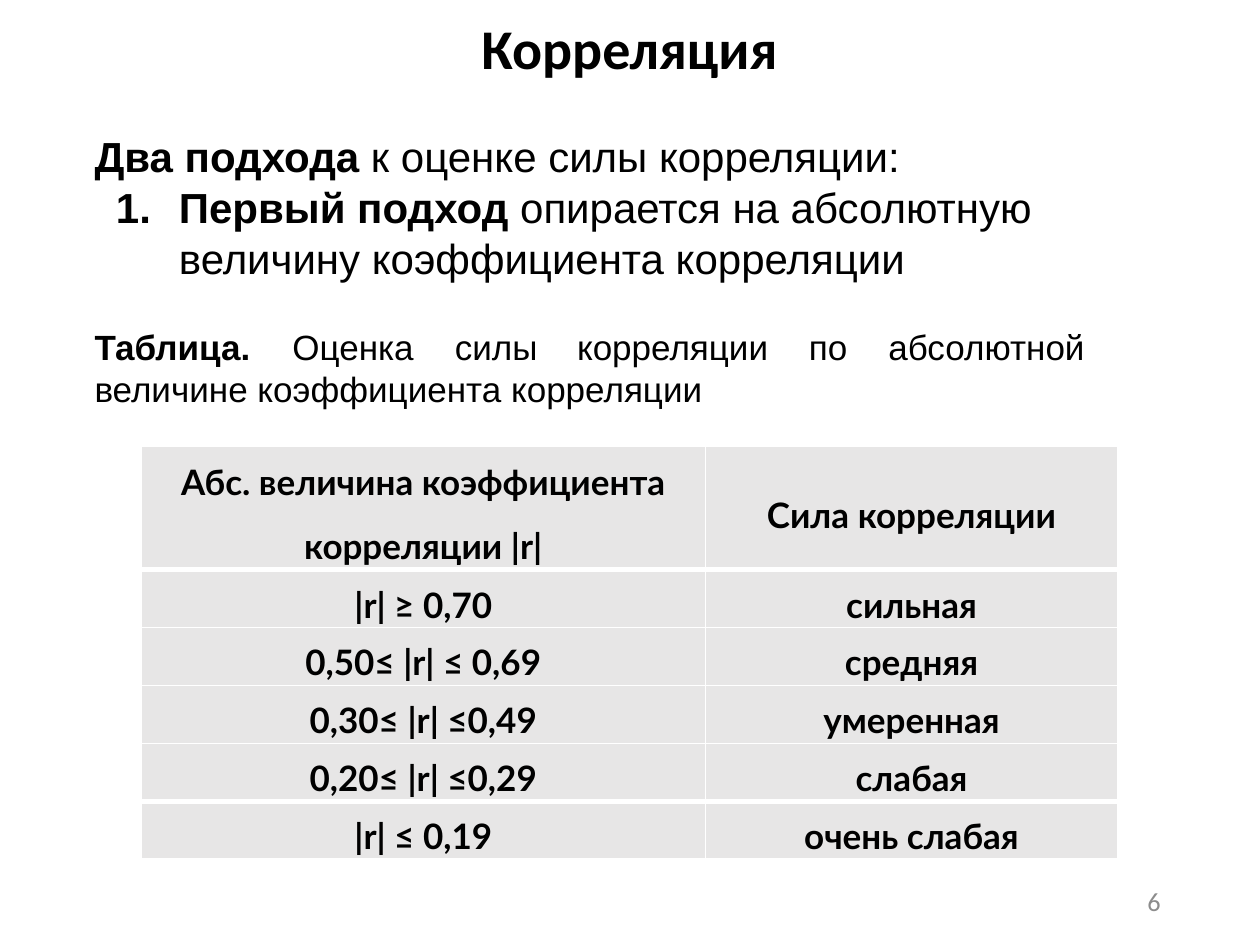
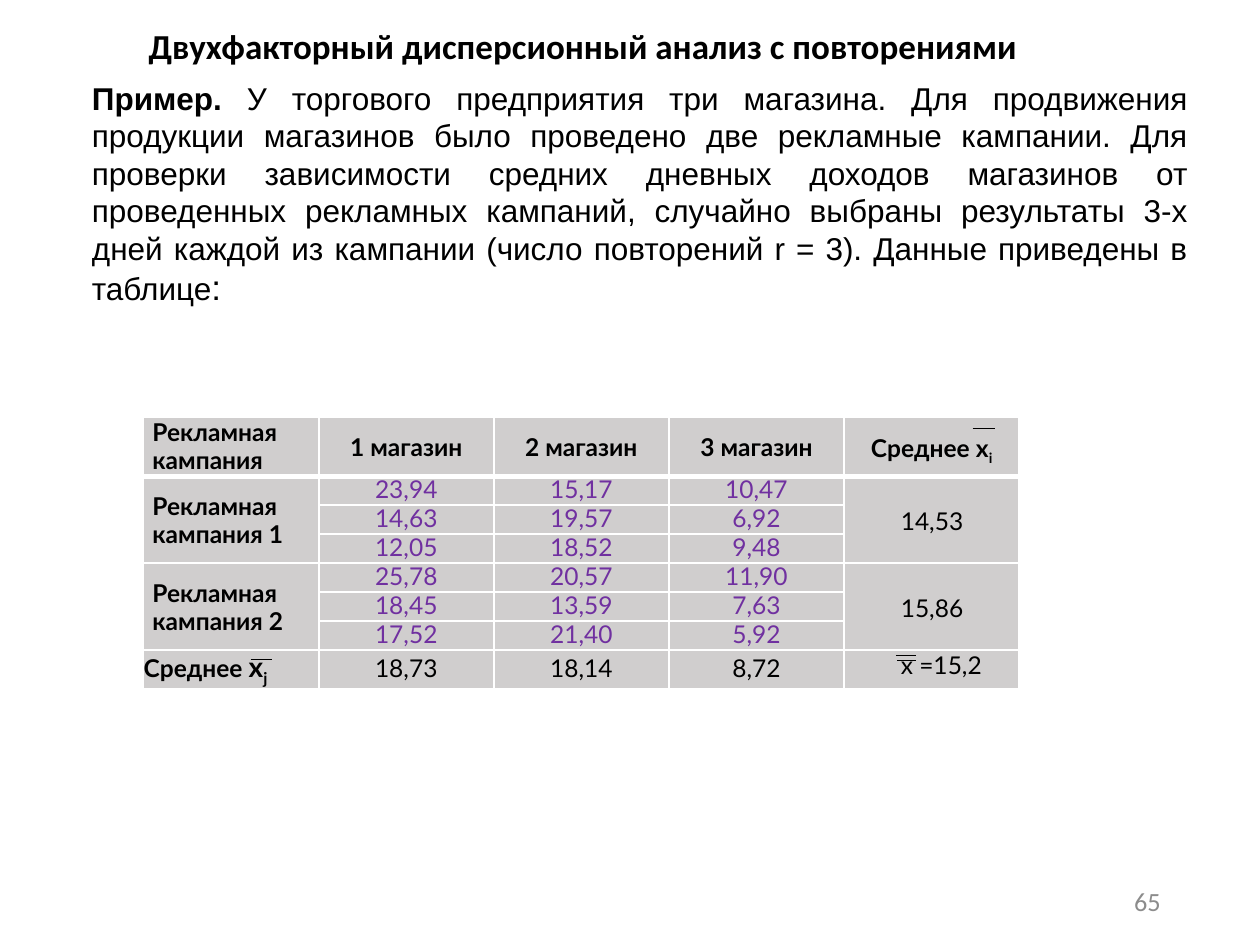
from dataclasses import dataclass
from typing import Optional

from lxml.etree import SubElement
from pptx import Presentation
from pptx.dml.color import RGBColor
from pptx.enum.shapes import MSO_CONNECTOR as Link
from pptx.enum.text import MSO_ANCHOR as Anchor, PP_ALIGN as Align
from pptx.oxml.ns import qn
from pptx.util import Inches, Pt

BLACK = RGBColor(0x00, 0x00, 0x00)
WHITE = RGBColor(0xFF, 0xFF, 0xFF)
GREY = RGBColor(0x8C, 0x8C, 0x8C)
PALE = RGBColor(0xE7, 0xE6, 0xE6)
SILVER = RGBColor(0xD0, 0xCE, 0xCE)
PURPLE = RGBColor(0x70, 0x30, 0xA0)

HEAD, BODY, GRID = "Calibri", "Arial", "Lato"
THIN, THICK = Pt(1), Pt(3)


@dataclass
class Bit:
    text: str
    size: float
    bold: bool = False
    color: RGBColor = BLACK
    sub: bool = False


@dataclass
class Para:
    bits: list[Bit]
    align: Align = Align.LEFT
    before: float = 0
    line: Optional[float | Pt] = None
    tabs: tuple[float, ...] = ()
    numbered: bool = False


@dataclass
class Cell:
    paras: list[Para]
    top: float = 0
    left: float = 0


@dataclass
class Box:
    left: float
    top: float
    width: float
    height: float


def write(frame, paras: list[Para], face: str) -> None:
    for i, para in enumerate(paras):
        line = frame.paragraphs[0] if i == 0 else frame.add_paragraph()
        line.alignment = para.align
        if para.before:
            line.space_before = Pt(para.before)
        if para.line:
            line.line_spacing = para.line
        props = line._p.get_or_add_pPr()
        if para.numbered:
            props.set("marL", str(Inches(0.67)))
            props.set("indent", str(Inches(-0.5)))
            SubElement(props, qn("a:buFont"), typeface=face)
            SubElement(props, qn("a:buAutoNum"), type="arabicPeriod")
        if para.tabs:
            stops = SubElement(props, qn("a:tabLst"))
            for pos in para.tabs:
                SubElement(stops, qn("a:tab"), pos=str(Inches(pos)), algn="l")
        for bit in para.bits:
            run = line.add_run()
            run.text = bit.text
            font = run.font
            font.name, font.size, font.bold = face, Pt(bit.size), bit.bold
            font.color.rgb = bit.color
            if bit.sub:
                run._r.get_or_add_rPr().set("baseline", "-25000")


def add_text(slide, box: Box, paras: list[Para], face: str,
             anchor: Anchor = Anchor.TOP, inset: float = 0) -> None:
    shape = slide.shapes.add_textbox(Inches(box.left), Inches(box.top),
                                     Inches(box.width), Inches(box.height))
    frame = shape.text_frame
    frame.word_wrap = True
    frame.vertical_anchor = anchor
    frame.margin_left = frame.margin_right = Inches(inset)
    frame.margin_top, frame.margin_bottom = Inches(0.01), Inches(0)
    write(frame, paras, face)


def new_slide(deck, title: str, size: float, box: Box, page: int):
    """Add a blank slide with its title and page number."""
    slide = deck.slides.add_slide(deck.slide_layouts[6])
    add_text(slide, box, [Para([Bit(title, size, True)])], HEAD, Anchor.MIDDLE)
    number = Para([Bit(str(page), 15, color=GREY)], Align.RIGHT)
    add_text(slide, Box(7.06, 6.95, 2.25, 0.4), [number], HEAD, Anchor.MIDDLE, 0.1)
    return slide


def edge(cell, side: str, width: Pt) -> None:
    line = SubElement(cell._tc.get_or_add_tcPr(), qn(f"a:ln{side}"), w=str(width))
    fill = SubElement(line, qn("a:solidFill"))
    SubElement(fill, qn("a:srgbClr"), val=str(WHITE))


def add_grid(slide, box: Box, cols: list[float], rows: list[float],
             cells: list[list[Optional[Cell]]], fill: RGBColor, thick: set[int]):
    """Draw a table; thick holds the rows that have a heavy line below."""
    frame = slide.shapes.add_table(len(rows), len(cols), Inches(box.left),
                                   Inches(box.top), Inches(box.width),
                                   Inches(box.height))
    table = frame.table
    table.first_row = table.horz_banding = False
    for col, width in zip(table.columns, cols):
        col.width = Inches(width)
    for row, height in zip(table.rows, rows):
        row.height = Inches(height)
    for r, line in enumerate(cells):
        for c, data in enumerate(line):
            cell = table.cell(r, c)
            cell.margin_left = cell.margin_right = Inches(0)
            cell.margin_top = cell.margin_bottom = Inches(0)
            edge(cell, "L", THIN)
            edge(cell, "R", THIN)
            edge(cell, "T", THICK if r - 1 in thick else THIN)
            edge(cell, "B", THICK if r in thick else THIN)
            cell.fill.solid()
            cell.fill.fore_color.rgb = fill
            if data:
                cell.margin_top = Inches(data.top)
                cell.margin_left = Inches(data.left)
                write(cell.text_frame, data.paras, GRID)
    return table


def add_bar(slide, left: float, top: float, width: float) -> None:
    """Draw the bar over a mean's symbol."""
    bar = slide.shapes.add_connector(Link.STRAIGHT, Inches(left), Inches(top),
                                     Inches(left + width), Inches(top))
    bar.line.color.rgb = BLACK
    bar.line.width = Pt(0.5)
    SubElement(bar._element.spPr, qn("a:effectLst"))


def centred(text: str, size: float, top: float, bold: bool = False,
            color: RGBColor = BLACK, line: Optional[Pt] = None) -> Cell:
    return Cell([Para([Bit(text, size, bold, color)], Align.CENTER, line=line)], top)


def label(text: str, top: float) -> Cell:
    return Cell([Para([Bit(text, 14, True)], line=Pt(16.1))], top, 0.07)


def mean(text: str, top: float) -> Cell:
    return Cell([Para([Bit(text, 14)])], top, 0.45)


def add_scale(deck) -> None:
    slide = new_slide(deck, "Корреляция", 32, Box(3.82, 0.09, 2.38, 0.55), 6)
    add_text(slide, Box(0.75, 1.03, 8.11, 2.24), [
        Para([Bit("Два подхода ", 24, True),
              Bit("к оценке силы корреляции:", 24)]),
        Para([Bit("Первый подход", 24, True),
              Bit(" опирается на абсолютную величину коэффициента корреляции", 24)],
             line=1.01, numbered=True),
        Para([Bit("Таблица.\t", 20, True),
              Bit("Оценка\tсилы\tкорреляции\tпо\tабсолютной\t"
                  "величине коэффициента корреляции", 20)],
             before=24.1, tabs=(1.57, 2.86, 3.83, 5.67, 6.3, 8.18)),
    ], BODY)

    first = Cell([
        Para([Bit("Абс. величина коэффициента", 20, True)], Align.CENTER),
        Para([Bit("корреляции |r|", 20, True)], Align.CENTER, before=12),
    ], 0.12)
    levels = [
        ("|r| ≥ 0,70", "сильная"),
        ("0,50≤ |r| ≤ 0,69", "средняя"),
        ("0,30≤ |r| ≤0,49", "умеренная"),
        ("0,20≤ |r| ≤0,29", "слабая"),
        ("|r| ≤ 0,19", "очень слабая"),
    ]
    cells = [[first, centred("Сила корреляции", 20, 0.38, True)]]
    cells += [[centred(text, 20, 0.11, True) for text in level] for level in levels]
    add_grid(slide, Box(1.12, 3.54, 7.75, 3.27), [4.48, 3.27],
             [0.98] + [0.46] * len(levels), cells, PALE, {0, 4})


def add_shops(deck) -> None:
    slide = new_slide(deck, "Двухфакторный дисперсионный анализ с повторениями",
                      20, Box(1.18, 0.18, 7.95, 0.36), 65)
    story = ("У торгового предприятия три магазина. Для продвижения продукции "
             "магазинов было проведено две рекламные кампании. Для проверки "
             "зависимости средних дневных доходов магазинов от проведенных "
             "рекламных кампаний, случайно выбраны результаты 3-х дней каждой "
             "из кампании (число повторений r = 3). Данные приведены в таблице")
    add_text(slide, Box(0.73, 0.63, 8.7, 1.85), [
        Para([Bit("Пример. ", 18, True), Bit(story, 18), Bit(":", 20)],
             Align.JUSTIFY, line=0.99)], BODY)

    sales = [
        ("23,94", "15,17", "10,47"),
        ("14,63", "19,57", "6,92"),
        ("12,05", "18,52", "9,48"),
        ("25,78", "20,57", "11,90"),
        ("18,45", "13,59", "7,63"),
        ("17,52", "21,40", "5,92"),
    ]
    days = 3
    means = ["14,53", "15,86"]
    top = [label("Рекламная кампания", 0.01)]
    top += [centred(f"{n} магазин", 14, 0.12, True) for n in (1, 2, 3)]
    top.append(Cell([Para([Bit("Среднее x", 14, True),
                           Bit("i", 14, True, sub=True)], Align.CENTER, line=1.5)]))
    cells = [top]
    for i, day in enumerate(sales):
        group, rest = divmod(i, days)
        name = None if rest else label(f"Рекламная кампания {group + 1}", 0.13)
        total = None if rest else mean(means[group], 0.24)
        values = [centred(v, 14, 0, color=PURPLE, line=Pt(15.8)) for v in day]
        cells.append([name, *values, total])
    foot = Cell([Para([Bit("Среднее ", 14, True), Bit("x", 16, True),
                       Bit("j", 16, True, sub=True)])])
    cells.append([foot, *(centred(v, 14, 0.03) for v in ("18,73", "18,14", "8,72")),
                  mean("x =15,2", 0)])

    table = add_grid(slide, Box(1.14, 3.31, 6.94, 2.16), [1.39] * 5,
                     [0.47] + [0.23] * len(sales) + [0.3], cells, SILVER, {0})
    for row in range(1, len(sales) + 1, days):
        for col in (0, 4):
            table.cell(row, col).merge(table.cell(row + days - 1, col))
    for left, height, width in ((1.99, 5.23, 0.17), (7.72, 3.4, 0.18),
                                (7.12, 5.24, 0.15), (7.11, 5.2, 0.16)):
        add_bar(slide, left, height, width)


def main() -> None:
    deck = Presentation()
    deck.slide_width, deck.slide_height = Inches(10), Inches(7.5)
    add_scale(deck)
    add_shops(deck)
    deck.save("out.pptx")


if __name__ == "__main__":
    main()
